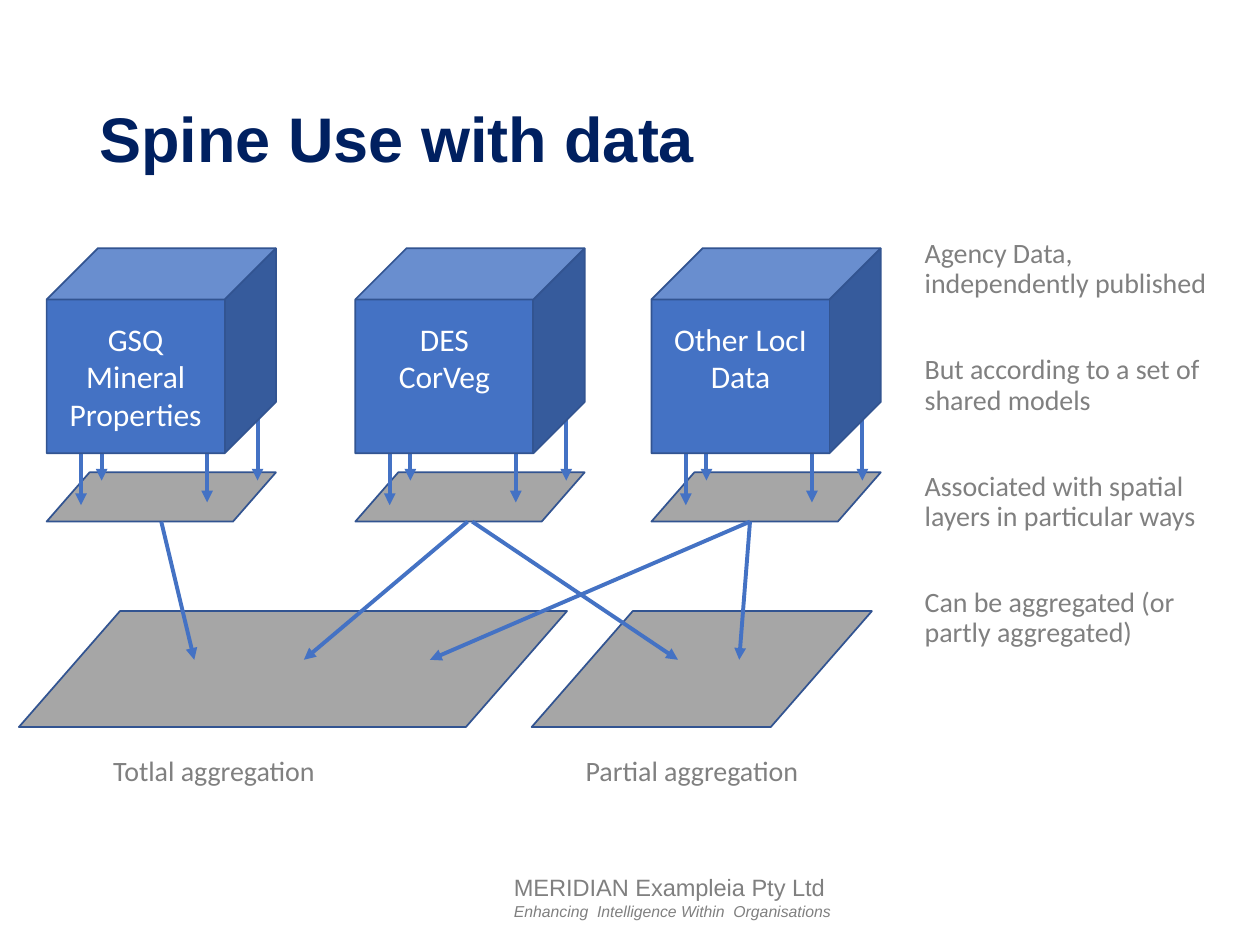
from lxml import etree
from pptx import Presentation
from pptx.dml.color import RGBColor
from pptx.enum.shapes import MSO_CONNECTOR, MSO_SHAPE
from pptx.enum.text import MSO_ANCHOR, MSO_AUTO_SIZE, PP_ALIGN
from pptx.oxml.ns import qn
from pptx.util import Inches, Pt

CUBE, PARALLELOGRAM = MSO_SHAPE.CUBE, MSO_SHAPE.PARALLELOGRAM
STRAIGHT = MSO_CONNECTOR.STRAIGHT
MIDDLE = MSO_ANCHOR.MIDDLE
LEFT, CENTER = PP_ALIGN.LEFT, PP_ALIGN.CENTER
NO_AUTOFIT = MSO_AUTO_SIZE.NONE

BLUE, EDGE, LAYER_GREY, TEXT_GREY = "4472C4", "325491", "A6A6A6", "808080"
NAVY, WHITE = "002060", "FFFFFF"

SOURCE_TOP, SOURCE_WIDTH, SOURCE_HEIGHT = 1.97, 1.82, 2.17
CUBE_SHARE, LAYER_SHARE = 0.75, 0.18
# Left edge, label and number of label lines
SOURCES = [
    (0.37, "GSQ Mineral Properties", 3),
    (2.82, "DES\vCorVeg", 2),
    (5.17, "Other LocI Data", 2),
]
# x, start y and end y as shares of a source's box
DROPS = [(0.15, 0.75, 0.94), (0.24, 0.66, 0.85), (0.7, 0.74, 0.93), (0.92, 0.59, 0.85)]

TOTAL = (0.15, 4.85, 4.35, 0.92)
PARTIAL = (4.22, 4.85, 2.7, 0.92)
# Source index, start share of its width, aggregation, end share of its width
FLOWS = [
    (0, 0.5, TOTAL, 0.32),
    (1, 0.49, TOTAL, 0.52),
    (2, 0.43, TOTAL, 0.75),
    (1, 0.51, PARTIAL, 0.43),
    (2, 0.43, PARTIAL, 0.61),
]
FLOW_END = 0.42

REMARKS = [
    "Agency Data, independently published",
    "But according to a set of shared models",
    "Associated with spatial layers in particular ways",
    "Can be aggregated (or partly aggregated)",
]


def rgb(value):
    return RGBColor.from_string(value)


def inches(*lengths):
    return [Inches(length) for length in lengths]


def style(font, name, size, color):
    font.name, font.size = name, Pt(size)
    font.color.rgb = rgb(color)


def add_solid(slide, preset, box, fill):
    solid = slide.shapes.add_shape(preset, *inches(*box))
    solid.shadow.inherit = False
    solid.fill.solid()
    solid.fill.fore_color.rgb = rgb(fill)
    solid.line.color.rgb = rgb(EDGE)
    solid.line.width = Pt(1)
    return solid


def add_layer(slide, box):
    add_solid(slide, PARALLELOGRAM, box, LAYER_GREY).adjustments[0] = 0.872


def add_arrow(slide, start, end):
    arrow = slide.shapes.add_connector(STRAIGHT, *inches(*start, *end))
    arrow.line.color.rgb = rgb(BLUE)
    arrow.line.width = Pt(2.25)
    etree.SubElement(arrow.line._get_or_add_ln(), qn("a:tailEnd"), type="triangle")
    etree.SubElement(arrow._element.spPr, qn("a:effectLst"))


def add_text_frame(slide, box):
    frame = slide.shapes.add_textbox(*inches(*box)).text_frame
    frame.word_wrap = True
    return frame


def add_title(slide, box):
    title = slide.shapes.title
    title.left, title.top, title.width, title.height = inches(*box)
    frame = title.text_frame
    frame.text = "Spine Use with data"
    frame.auto_size = NO_AUTOFIT
    frame.vertical_anchor = MIDDLE
    heading = frame.paragraphs[0]
    heading.alignment, heading.line_spacing = LEFT, 0.9
    style(heading.font, "Arial", 36, NAVY)
    heading.font.bold = True


def add_source(slide, box, label, label_lines):
    """Data cube whose arrows drop onto a spatial layer."""
    left, top, width, height = box
    layer_height = LAYER_SHARE * height
    add_layer(slide, (left, top + height - layer_height, width, layer_height))
    for x, start, end in DROPS:
        drop_x = left + x * width
        add_arrow(slide, (drop_x, top + start * height), (drop_x, top + end * height))
    cube = add_solid(slide, CUBE, (left, top, width, CUBE_SHARE * height), BLUE)
    frame = cube.text_frame
    frame.word_wrap = True
    frame.vertical_anchor = MIDDLE
    # Shorter labels start level with the three-line one
    frame.margin_bottom = Inches(0.05 + 0.3 * (3 - label_lines))
    frame.text = label
    name = frame.paragraphs[0]
    name.alignment = CENTER
    style(name.font, "Calibri", 18, WHITE)


def add_flow(slide, source_left, start_share, aggregation, end_share):
    left, top, width, height = aggregation
    start = (source_left + start_share * SOURCE_WIDTH, SOURCE_TOP + SOURCE_HEIGHT)
    add_arrow(slide, start, (left + end_share * width, top + FLOW_END * height))


def add_remarks(slide, box):
    frame = add_text_frame(slide, box)
    for index, remark in enumerate(REMARKS):
        paragraph = frame.add_paragraph() if index else frame.paragraphs[0]
        paragraph.text = remark
        paragraph.line_spacing = 0.9
        if index:
            paragraph.space_before = Pt(32)
        style(paragraph.font, "Calibri", 16, TEXT_GREY)


def add_captions(slide, box, second_caption):
    caption = add_text_frame(slide, box).paragraphs[0]
    caption.text = "Totlal aggregation\tPartial aggregation"
    caption.line_spacing = 0.9
    tabs = etree.SubElement(caption._p.get_or_add_pPr(), qn("a:tabLst"))
    etree.SubElement(tabs, qn("a:tab"), pos=str(Inches(second_caption)), algn="l")
    style(caption.font, "Calibri", 16, TEXT_GREY)


def add_footer(slide, box):
    footer = add_text_frame(slide, box).paragraphs[0]
    company = footer.add_run()
    company.text = "MERIDIAN Exampleia Pty Ltd"
    style(company.font, "Arial", 13.5, TEXT_GREY)
    footer.add_line_break()
    motto = footer.add_run()
    motto.text = "Enhancing  Intelligence Within  Organisations"
    style(motto.font, "Arial", 9, TEXT_GREY)
    motto.font.italic = True


def main():
    deck = Presentation()
    deck.slide_width, deck.slide_height = inches(10, 7.5)
    slide = deck.slides.add_slide(deck.slide_layouts[5])
    add_title(slide, (0.69, 0.4, 8.62, 1.45))
    for left, label, label_lines in SOURCES:
        box = (left, SOURCE_TOP, SOURCE_WIDTH, SOURCE_HEIGHT)
        add_source(slide, box, label, label_lines)
    for aggregation in (TOTAL, PARTIAL):
        add_layer(slide, aggregation)
    for source, start_share, aggregation, end_share in FLOWS:
        add_flow(slide, SOURCES[source][0], start_share, aggregation, end_share)
    add_remarks(slide, (7.24, 1.85, 2.62, 5.25))
    add_captions(slide, (0.8, 5.96, 5.65, 0.54), second_caption=3.75)
    add_footer(slide, (3.98, 6.88, 2.88, 0.48))
    deck.save("out.pptx")


if __name__ == "__main__":
    main()
